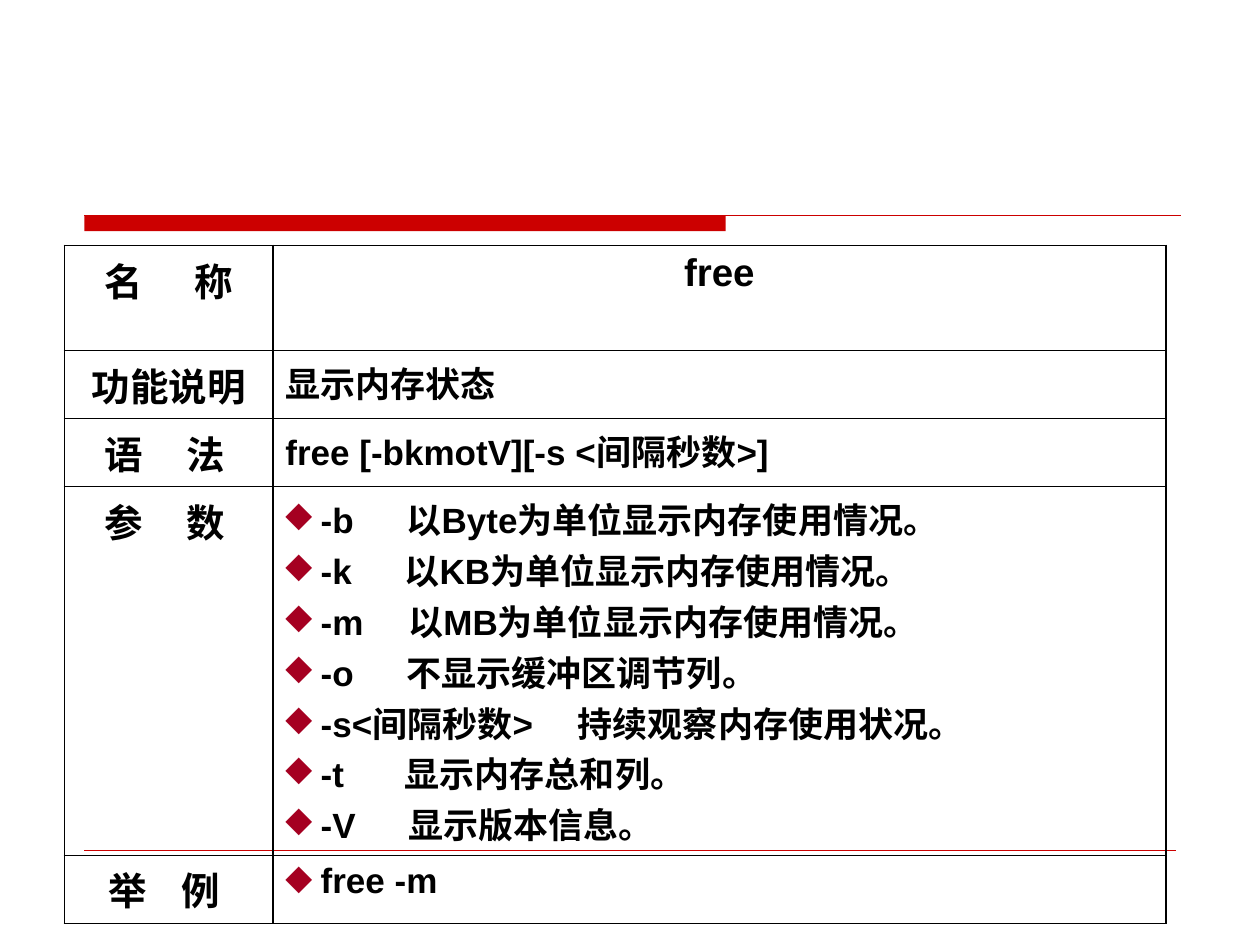
"""Build the slide that describes the free command."""
import lxml.etree
import pptx
import pptx.dml.color
import pptx.enum.shapes
import pptx.enum.text
import pptx.oxml.ns
import pptx.util

Cm, Pt, qn = pptx.util.Cm, pptx.util.Pt, pptx.oxml.ns.qn
COLORS = {"red": "CC0000", "bullet": "A50021", "ink": "000000"}
THIN, THICK = 0.45, 1.08
LABEL = {"name": "Arial", "size": Pt(22), "bold": True}
BODY = {**LABEL, "size": Pt(20)}
COLUMNS = [4.2, 18.0]
ROWS = [
    (2.11, "名      称", ["free"], "title"),
    (1.2, "功能说明", ["显示内存状态"], "plain"),
    (1.2, "语     法 ", ["free [-bkmotV][-s <间隔秒数>]"], "plain"),
    (6.17, "参     数 ", [
        "-b 　 以Byte为单位显示内存使用情况。",
        "-k 　 以KB为单位显示内存使用情况。",
        "-m 　以MB为单位显示内存使用情况。",
        "-o 　 不显示缓冲区调节列。",
        "-s<间隔秒数> 　持续观察内存使用状况。",
        "-t 　  显示内存总和列。",
        "-V 　 显示版本信息。",
    ], "bullet"),
    (1.2, "举    例 ", ["free -m"], "bullet"),
]


def rgb(name):
    return pptx.dml.color.RGBColor.from_string(COLORS[name])


class Builder:
    def __init__(self, slide):
        self.s = slide

    def bar(self, x, y, w, h):
        sp = self.s.shapes.add_shape(
            pptx.enum.shapes.MSO_SHAPE.RECTANGLE, Cm(x), Cm(y), Cm(w), Cm(h))
        sp.shadow.inherit = False
        sp.fill.solid()
        sp.fill.fore_color.rgb = rgb("red")
        sp.line.fill.background()

    def rule(self, x1, x2, y, width):
        sp = self.s.shapes.add_connector(
            pptx.enum.shapes.MSO_CONNECTOR.STRAIGHT, Cm(x1), Cm(y), Cm(x2), Cm(y))
        sp.line.color.rgb = rgb("red")
        sp.line.width = Pt(width)
        lxml.etree.SubElement(sp.element.spPr, qn("a:effectLst"))

    def bullet(self, p):
        pPr = p._p.get_or_add_pPr()
        pPr.set("marL", str(Cm(0.71)))
        pPr.set("indent", str(-Cm(0.71)))
        clr = lxml.etree.SubElement(pPr, qn("a:buClr"))
        lxml.etree.SubElement(clr, qn("a:srgbClr"), val=COLORS["bullet"])
        lxml.etree.SubElement(pPr, qn("a:buChar"), char="◆")

    def borders(self, cell, top, bottom):
        tcPr = cell._tc.get_or_add_tcPr()
        widths = {"a:lnL": THICK, "a:lnR": THICK, "a:lnT": top, "a:lnB": bottom}
        for i, (tag, width) in enumerate(widths.items()):
            ln = lxml.etree.Element(qn(tag), w=str(Pt(width)))
            fill = lxml.etree.SubElement(ln, qn("a:solidFill"))
            lxml.etree.SubElement(fill, qn("a:srgbClr"), val=COLORS["ink"])
            tcPr.insert(i, ln)

    def cell(self, cell, lines, style, kind):
        cell.fill.background()
        tf = cell.text_frame
        for i, line in enumerate(lines):
            p = tf.add_paragraph() if i else tf.paragraphs[0]
            if kind == "title":
                p.alignment = pptx.enum.text.PP_ALIGN.CENTER
            elif kind == "bullet":
                self.bullet(p)
            r = p.add_run()
            r.text = line
            for key, value in style.items():
                setattr(r.font, key, value)
            r.font.color.rgb = rgb("ink")

    def table(self, x, y, columns, rows):
        height = sum(row[0] for row in rows)
        table = self.s.shapes.add_table(
            len(rows), len(columns), Cm(x), Cm(y), Cm(sum(columns)), Cm(height)).table
        table.first_row = table.horz_banding = False
        for column, width in zip(table.columns, columns):
            column.width = Cm(width)
        last = len(rows) - 1
        for i, (h, label, lines, kind) in enumerate(rows):
            table.rows[i].height = Cm(h)
            label_cell, body_cell = table.cell(i, 0), table.cell(i, 1)
            self.cell(label_cell, [label], LABEL, "title")
            self.cell(body_cell, lines, LABEL if kind == "title" else BODY, kind)
            for cell in (label_cell, body_cell):
                self.borders(cell, THIN if i else THICK, THICK if i == last else THIN)


def main():
    prs = pptx.Presentation()
    prs.slide_width, prs.slide_height = Cm(25.4), Cm(19.05)
    b = Builder(prs.slides.add_slide(prs.slide_layouts[6]))
    b.bar(1.7, 4.34, 12.93, 0.32)
    b.rule(1.7, 23.8, 4.34, 0.75)
    b.rule(1.7, 23.7, 17.15, 0.25)
    b.table(1.3, 4.95, COLUMNS, ROWS)
    prs.save("out.pptx")


if __name__ == "__main__":
    main()
